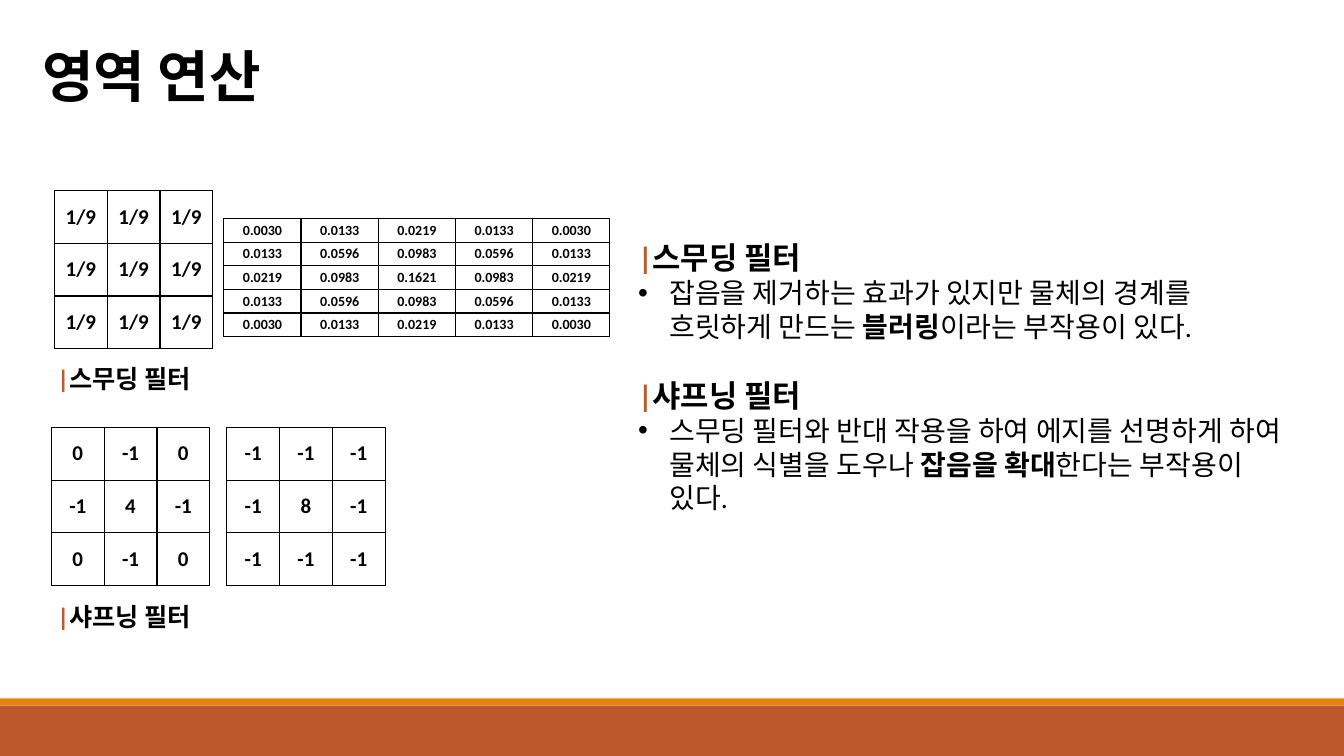
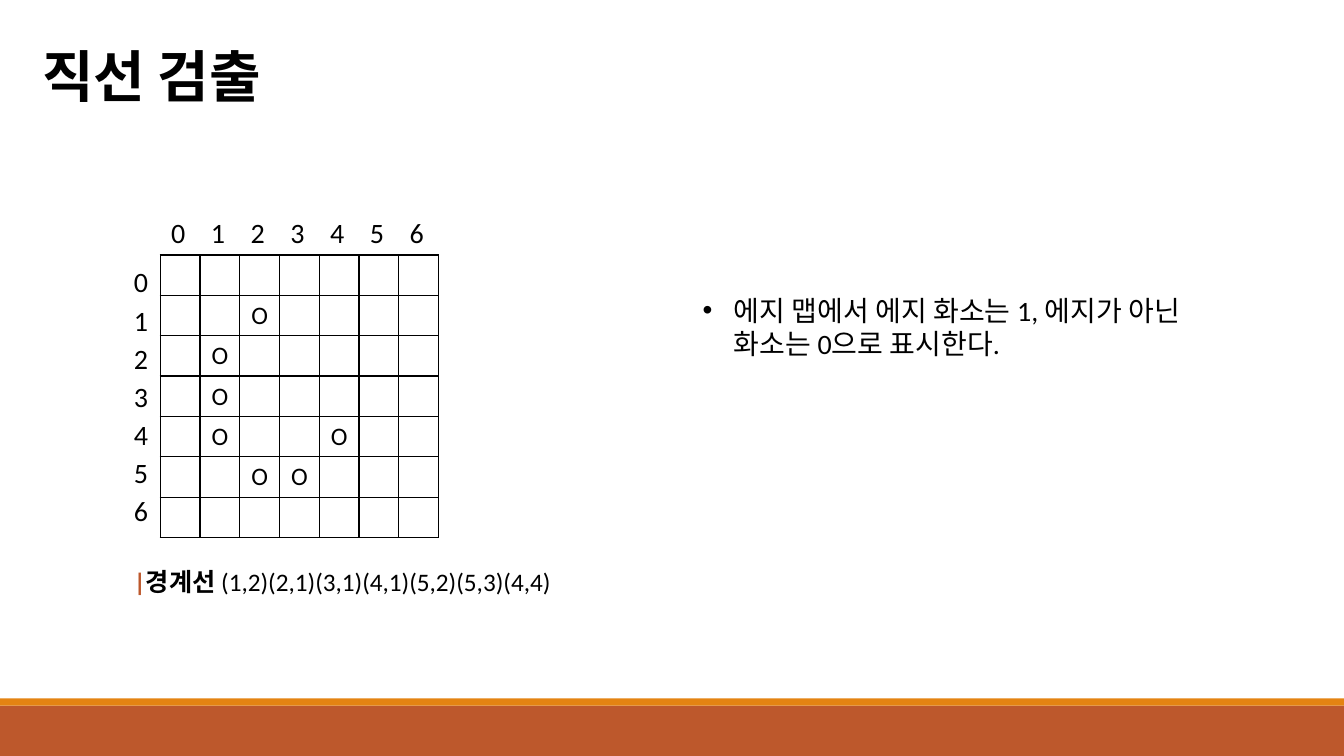
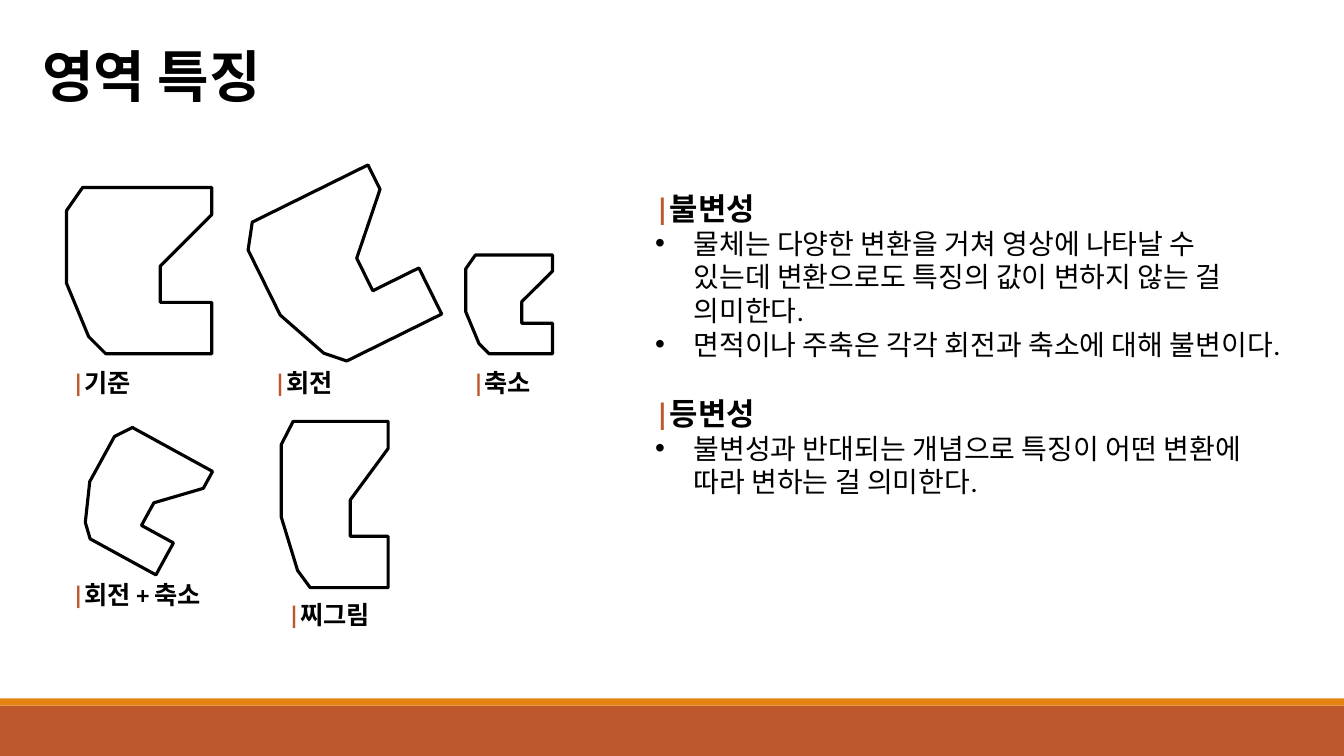
"""Build three slides on image filters, edge detection and region features."""
from lxml.etree import SubElement
from pptx import Presentation
from pptx.dml.color import RGBColor
from pptx.enum.shapes import MSO_SHAPE
from pptx.enum.text import MSO_ANCHOR, MSO_AUTO_SIZE, PP_ALIGN
from pptx.oxml.ns import qn
from pptx.util import Inches, Pt

BLACK, WHITE, ACCENT, STRIPE = "000000", "FFFFFF", "BD582C", "E48312"
LATIN, KOREAN = "Calibri", "Noto Sans CJK KR"
BANDS = [(7, 0.5, ACCENT), (6.93, 0.07, STRIPE)]

MEAN = [["1/9"] * 3] * 3
LAPLACIAN_4 = [["0", "-1", "0"], ["-1", "4", "-1"], ["0", "-1", "0"]]
LAPLACIAN_8 = [["-1", "-1", "-1"], ["-1", "8", "-1"], ["-1", "-1", "-1"]]
OUTER = ["0.0030", "0.0133", "0.0219", "0.0133", "0.0030"]
INNER = ["0.0133", "0.0596", "0.0983", "0.0596", "0.0133"]
CENTER = ["0.0219", "0.0983", "0.1621", "0.0983", "0.0219"]
GAUSSIAN = [OUTER, INNER, CENTER, INNER, OUTER]
KERNELS = [(0.54, 1.89, MEAN), (0.51, 4.24, LAPLACIAN_4), (2.25, 4.24, LAPLACIAN_8)]
FILTER_CAPTIONS = [(0.47, 3.56, 1.78, "스무딩 필터"), (0.47, 5.92, 1.78, "샤프닝 필터")]
FILTER_NOTES = [
    ("스무딩 필터", ["잡음을 제거하는 효과가 있지만 물체의 경계를 흐릿하게 만드는 *블러링*이라는 부작용이 있다."]),
    ("샤프닝 필터", ["스무딩 필터와 반대 작용을 하여 에지를 선명하게 하여 물체의 식별을 도우나 *잡음을 확대*한다는 부작용이 있다."]),
]

GRID_SIZE, GRID_WIDTH = 7, 2.76
EDGE_PIXELS = [(1, 2), (2, 1), (3, 1), (4, 1), (5, 2), (5, 3), (4, 4)]
EDGE_NOTES = [("", ["에지 맵에서 에지 화소는 1, 에지가 아닌 화소는 0으로 표시한다."])]

OUTLINE_WIDTH, OUTLINE_HEIGHT = 1.44, 1.65
OUTLINE = [(0.16, 0), (1.44, 0), (1.44, 0.27), (0.93, 0.78), (0.93, 1.14), (1.44, 1.14),
           (1.44, 1.65), (0.39, 1.65), (0.22, 1.48), (0, 0.95), (0, 0.23)]
REGIONS = [
    (0.66, 1.86, 1.44, 1.65, 0),
    (2.65, 1.87, 1.44, 1.65, 333.7),
    (4.62, 2.53, 0.86, 0.98, 0),
    (0.87, 4.36, 1.02, 1.17, 28.7),
    (2.79, 4.18, 1.06, 1.65, 0),
]
REGION_CAPTIONS = [
    (0.62, 3.59, 1.23, "기준"),
    (2.62, 3.59, 1.23, "회전"),
    (4.59, 3.59, 1.23, "축소"),
    (0.62, 5.7, 1.74, "회전 + 축소"),
    (2.76, 5.9, 1.23, "찌그림"),
]
REGION_NOTES = [
    ("불변성", ["물체는 다양한 변환을 거쳐 영상에 나타날 수 있는데 변환으로도 특징의 값이 변하지 않는 걸 의미한다.",
             "면적이나 주축은 각각 회전과 축소에 대해 불변이다."]),
    ("등변성", ["불변성과 반대되는 개념으로 특징이 어떤 변환에 따라 변하는 걸 의미한다."]),
]


def color(value):
    return RGBColor.from_string(value)


def fill_shape(shape, value):
    shape.shadow.inherit = False
    shape.fill.solid()
    shape.fill.fore_color.rgb = color(value)


def set_font(paragraph, size, bold=False, name=LATIN):
    font = paragraph.font
    font.size, font.bold, font.name = Pt(size), bold, name
    font.color.rgb = color(BLACK)
    SubElement(font._element, qn("a:ea"), typeface=KOREAN)


def add_run(paragraph, text, bold=None, value=None):
    run = paragraph.add_run()
    run.text = text
    if bold is not None:
        run.font.bold = bold
    if value:
        run.font.color.rgb = color(value)


def add_box(slide, left, top, width, height, wrap=True):
    box = slide.shapes.add_textbox(Inches(left), Inches(top), Inches(width), Inches(height))
    frame = box.text_frame
    frame.word_wrap = wrap
    frame.auto_size = MSO_AUTO_SIZE.SHAPE_TO_FIT_TEXT
    return frame


def next_paragraph(frame):
    return frame.add_paragraph() if frame.paragraphs[0].runs else frame.paragraphs[0]


def add_heading(paragraph, text, size):
    set_font(paragraph, size, True)
    add_run(paragraph, "|", value=ACCENT)
    add_run(paragraph, text)


def add_bullet(paragraph, text, indent):
    properties = paragraph._p.get_or_add_pPr()
    properties.set("marL", str(Inches(indent)))
    properties.set("indent", str(-Inches(indent)))
    SubElement(properties, qn("a:buFont"), typeface="Arial")
    SubElement(properties, qn("a:buChar"), char="•")
    set_font(paragraph, 20)
    for index, part in enumerate(text.split("*")):
        add_run(paragraph, part, bold=True if index % 2 else None)


def add_notes(slide, left, top, width, height, sections, indent=0.31):
    frame = add_box(slide, left, top, width, height)
    for index, (heading, bullets) in enumerate(sections):
        if heading:
            paragraph = next_paragraph(frame)
            if index:
                paragraph.space_before = Pt(24)
            add_heading(paragraph, heading, 22)
        for bullet in bullets:
            add_bullet(next_paragraph(frame), bullet, indent)


def add_caption(slide, left, top, width, text, detail=""):
    paragraph = add_box(slide, left, top, width, 0.4).paragraphs[0]
    add_heading(paragraph, text, 18)
    if detail:
        add_run(paragraph, detail, bold=False)


def add_borders(cell):
    properties = cell._tc.get_or_add_tcPr()
    for index, side in enumerate(("lnL", "lnR", "lnT", "lnB")):
        line = properties.makeelement(qn(f"a:{side}"), {"w": str(Pt(1))})
        fill = SubElement(line, qn("a:solidFill"))
        SubElement(fill, qn("a:srgbClr"), val=BLACK)
        properties.insert(index, line)


def add_matrix(slide, left, top, width, height, values, size, bold=True, margins=(0.1, 0.05)):
    rows, columns = len(values), len(values[0])
    table = slide.shapes.add_table(rows, columns, Inches(left), Inches(top),
                                   Inches(width), Inches(height)).table
    table.first_row = table.horz_banding = False
    for row, row_values in enumerate(values):
        for column, value in enumerate(row_values):
            cell = table.cell(row, column)
            cell.fill.solid()
            cell.fill.fore_color.rgb = color(WHITE)
            cell.vertical_anchor = MSO_ANCHOR.MIDDLE
            cell.margin_left = cell.margin_right = Inches(margins[0])
            cell.margin_top = cell.margin_bottom = Inches(margins[1])
            add_borders(cell)
            paragraph = cell.text_frame.paragraphs[0]
            paragraph.alignment = PP_ALIGN.CENTER
            set_font(paragraph, size, bold)
            if value:
                add_run(paragraph, value)


def add_axis_labels(slide):
    labels = [str(index) for index in range(GRID_SIZE)]
    paragraph = add_box(slide, 1.6, 2.09, GRID_WIDTH, 0.44).paragraphs[0]
    tabs = SubElement(paragraph._p.get_or_add_pPr(), qn("a:tabLst"))
    for index in range(1, GRID_SIZE):
        position = Inches(index * GRID_WIDTH / GRID_SIZE)
        SubElement(tabs, qn("a:tab"), pos=str(position), algn="l")
    set_font(paragraph, 20)
    add_run(paragraph, "\t".join(labels))
    frame = add_box(slide, 1.23, 2.58, 0.34, 2.76)
    for index, label in enumerate(labels):
        paragraph = next_paragraph(frame)
        if index:
            paragraph.space_before = Pt(3.2)
        set_font(paragraph, 20)
        add_run(paragraph, label)


def add_region(slide, left, top, width, height, rotation):
    points = [(Inches(left + x * width / OUTLINE_WIDTH), Inches(top + y * height / OUTLINE_HEIGHT))
              for x, y in OUTLINE]
    builder = slide.shapes.build_freeform(*points[0])
    builder.add_line_segments(points[1:], close=True)
    region = builder.convert_to_shape()
    fill_shape(region, WHITE)
    region.line.color.rgb = color(BLACK)
    region.line.width = Pt(2.25)
    region.rotation = rotation


def add_slide(presentation, title):
    slide = presentation.slides.add_slide(presentation.slide_layouts[6])
    for top, height, value in BANDS:
        band = slide.shapes.add_shape(MSO_SHAPE.RECTANGLE, 0, Inches(top),
                                      presentation.slide_width, Inches(height))
        fill_shape(band, value)
        band.line.fill.background()
    paragraph = add_box(slide, 0.32, 0.36, 2.64, 0.77, wrap=False).paragraphs[0]
    set_font(paragraph, 40, True, KOREAN)
    add_run(paragraph, title)
    return slide


def build_filters(presentation):
    slide = add_slide(presentation, "영역 연산")
    add_notes(slide, 6.23, 2.32, 6.63, 2.86, FILTER_NOTES)
    for left, top, values in KERNELS:
        add_matrix(slide, left, top, 1.57, 1.57, values, 15)
    add_matrix(slide, 2.22, 2.17, 3.83, 1.17, GAUSSIAN, 10, margins=(0.06, 0.03))
    for caption in FILTER_CAPTIONS:
        add_caption(slide, *caption)


def build_edges(presentation):
    slide = add_slide(presentation, "직선 검출")
    add_notes(slide, 6.87, 2.86, 5.53, 0.77, EDGE_NOTES)
    edge_map = [["O" if (row, column) in EDGE_PIXELS else "" for column in range(GRID_SIZE)]
                for row in range(GRID_SIZE)]
    add_matrix(slide, 1.59, 2.53, GRID_WIDTH, 2.8, edge_map, 18, bold=False)
    add_axis_labels(slide)
    pixels = "".join(f"({row},{column})" for row, column in EDGE_PIXELS)
    add_caption(slide, 1.23, 5.57, 4.54, "경계선 ", pixels)


def build_regions(presentation):
    slide = add_slide(presentation, "영역 특징")
    add_notes(slide, 6.4, 1.83, 6.37, 3.53, REGION_NOTES, indent=0.38)
    for region, caption in zip(REGIONS, REGION_CAPTIONS):
        add_region(slide, *region)
        add_caption(slide, *caption)


def main():
    presentation = Presentation()
    presentation.slide_width, presentation.slide_height = Inches(13.33), Inches(7.5)
    for build in (build_filters, build_edges, build_regions):
        build(presentation)
    presentation.save("out.pptx")


if __name__ == "__main__":
    main()
